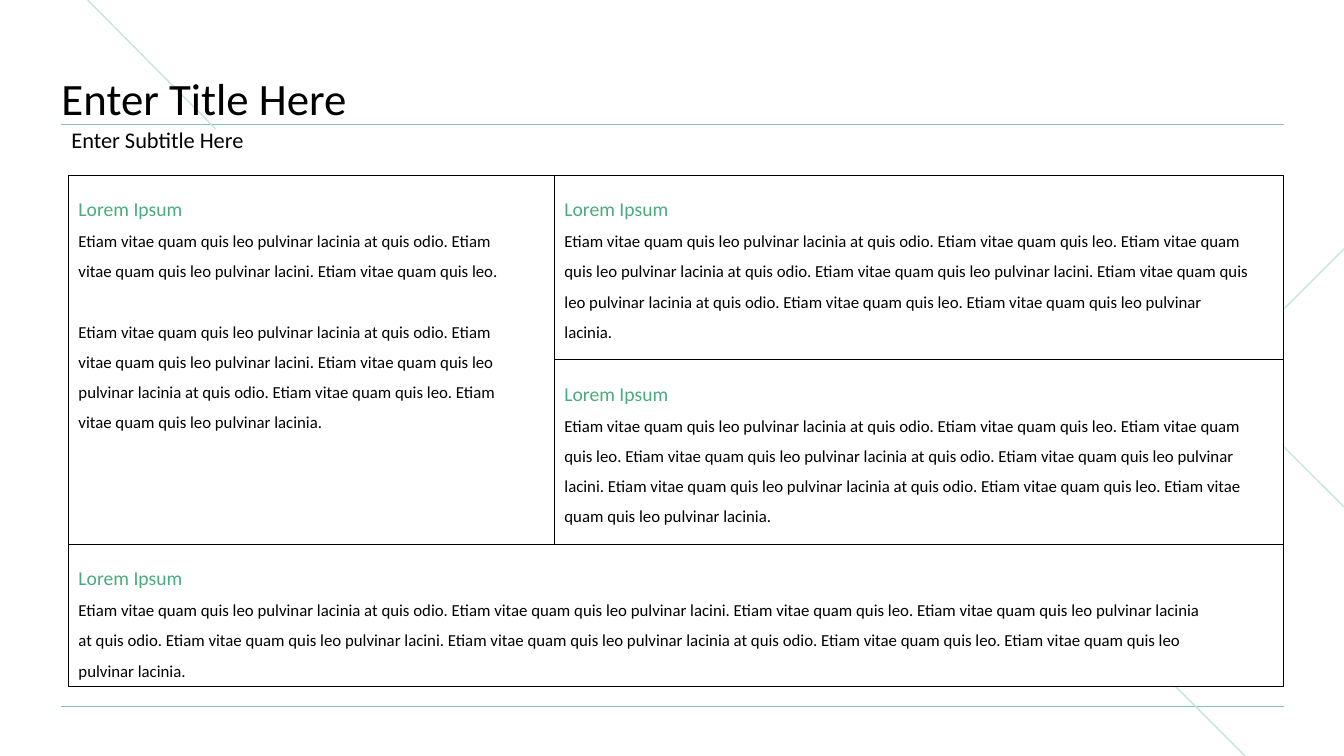
from lxml import etree
from pptx import Presentation
from pptx import util as u
from pptx.dml.color import RGBColor
from pptx.enum import shapes, text
from pptx.oxml.ns import qn

WIDTH, HEIGHT = 13.33, 7.5
FONT = "Calibri"
BLACK, WHITE, GREEN = "000000", "FFFFFF", "4BAA7F"
RULE_GREEN, PALE_GREEN = "80C7A7", "C6E6D7"
MARGIN, RIGHT = 0.61, 12.73
GRID_LEFT, GRID_TOP = 0.68, 1.74
COLUMN = (RIGHT - GRID_LEFT) / 5
ROWS = [1.83, 1.83, 1.41]
BLANK_LINE = 21.5

LONG = "Etiam vitae quam quis leo pulvinar lacinia at quis odio."
MEDIUM = "Etiam vitae quam quis leo pulvinar lacini."
SHORT = "Etiam vitae quam quis leo."
LAST = "Etiam vitae quam quis leo pulvinar lacinia."
ENDING = [LONG, SHORT, LAST]

PANELS = [
    (0, 2, 0, 2, 0.3, [[LONG, MEDIUM, SHORT], [LONG, MEDIUM, *ENDING]]),
    (2, 3, 0, 1, 0.3, [[LONG, SHORT, LONG, MEDIUM, *ENDING]]),
    (2, 3, 1, 1, 0.3, [[LONG, SHORT, SHORT, LONG, MEDIUM, *ENDING]]),
    (0, 5, 2, 1, 0.7, [[LONG, MEDIUM, SHORT, LONG, MEDIUM, *ENDING]]),
]


def color(value):
    """Turn a hex string into a colour."""
    return RGBColor.from_string(value)


def inches(*lengths):
    """Turn numbers into inch lengths."""
    return [u.Inches(length) for length in lengths]


def set_line(shape, value, points):
    """Set the colour and width of an outline."""
    shape.line.color.rgb = color(value)
    shape.line.width = u.Pt(points)


def set_frame(frame, anchor, margins):
    """Set wrapping, anchor and the left, top, right and bottom margins."""
    frame.word_wrap = True
    frame.vertical_anchor = anchor
    (frame.margin_left, frame.margin_top,
     frame.margin_right, frame.margin_bottom) = inches(*margins)


def write(para, words, size, value, spacing):
    """Write one left-aligned paragraph."""
    para.text = words
    para.alignment = text.PP_ALIGN.LEFT
    para.line_spacing = spacing
    para.space_before = para.space_after = u.Pt(0)
    for span in para.runs:
        span.font.name = FONT
        span.font.size = u.Pt(size)
        span.font.color.rgb = color(value)


def add_line(page, ends, value, points):
    """Draw a straight line between two points."""
    line = page.shapes.add_connector(
        shapes.MSO_CONNECTOR.STRAIGHT, *inches(*ends))
    set_line(line, value, points)
    properties = line._element.find(qn("p:spPr"))
    etree.SubElement(properties, qn("a:effectLst"))


def add_chevron(page):
    """Draw the open chevron at the right edge."""
    reach = 1.28
    top = 2.47
    builder = page.shapes.build_freeform(
        *inches(WIDTH, top), scale=1.0)
    builder.add_line_segments(
        [inches(WIDTH - reach, top + reach), inches(WIDTH, top + 2 * reach)],
        close=False)
    chevron = builder.convert_to_shape()
    chevron.shadow.inherit = False
    chevron.fill.background()
    set_line(chevron, PALE_GREEN, 1)


def add_heading(page, words, place, size, anchor, margins):
    """Place a one-line heading."""
    box = page.shapes.add_textbox(*inches(*place))
    set_frame(box.text_frame, anchor, margins)
    write(box.text_frame.paragraphs[0], words, size, BLACK, 0.9)


def add_panel(group, column, columns, row, rows, right_margin, passages):
    """Place a bordered panel of text on the grid."""
    panel = group.shapes.add_shape(
        shapes.MSO_SHAPE.RECTANGLE,
        *inches(GRID_LEFT + column * COLUMN, GRID_TOP + sum(ROWS[:row]),
                columns * COLUMN, sum(ROWS[row:row + rows])))
    panel.shadow.inherit = False
    panel.fill.solid()
    panel.fill.fore_color.rgb = color(WHITE)
    set_line(panel, BLACK, 0.75)
    frame = panel.text_frame
    set_frame(frame, text.MSO_ANCHOR.TOP, (0.1, 0.1, right_margin, 0.1))
    write(frame.paragraphs[0], "Lorem Ipsum", 14, GREEN, 1.5)
    for index, sentences in enumerate(passages):
        para = frame.add_paragraph()
        write(para, " ".join(sentences), 12, BLACK, 1.5)
        para.space_before = u.Pt(BLANK_LINE * index)


def main():
    """Build the slide and save it."""
    deck = Presentation()
    deck.slide_width, deck.slide_height = inches(WIDTH, HEIGHT)
    page = deck.slides.add_slide(deck.slide_layouts[6])
    for y in (7.01, 1.23):
        add_line(page, (MARGIN, y, RIGHT, y), RULE_GREEN, 0.5)
    for ends in ((11.11, 6.26, 12.35, HEIGHT), (0.87, 0, 2.14, 1.28)):
        add_line(page, ends, PALE_GREEN, 1)
    add_chevron(page)
    span = RIGHT - MARGIN
    add_heading(page, "Enter Title Here", (MARGIN, 0.44, span, 0.8), 32,
                text.MSO_ANCHOR.BOTTOM, (0, 0, 0, 0))
    add_heading(page, "Enter Subtitle Here", (MARGIN, 1.23, span, 0.34), 16,
                text.MSO_ANCHOR.MIDDLE, (0.1, 0.05, 0.1, 0.05))
    group = page.shapes.add_group_shape()
    for panel in PANELS:
        add_panel(group, *panel)
    deck.save("out.pptx")


if __name__ == "__main__":
    main()
